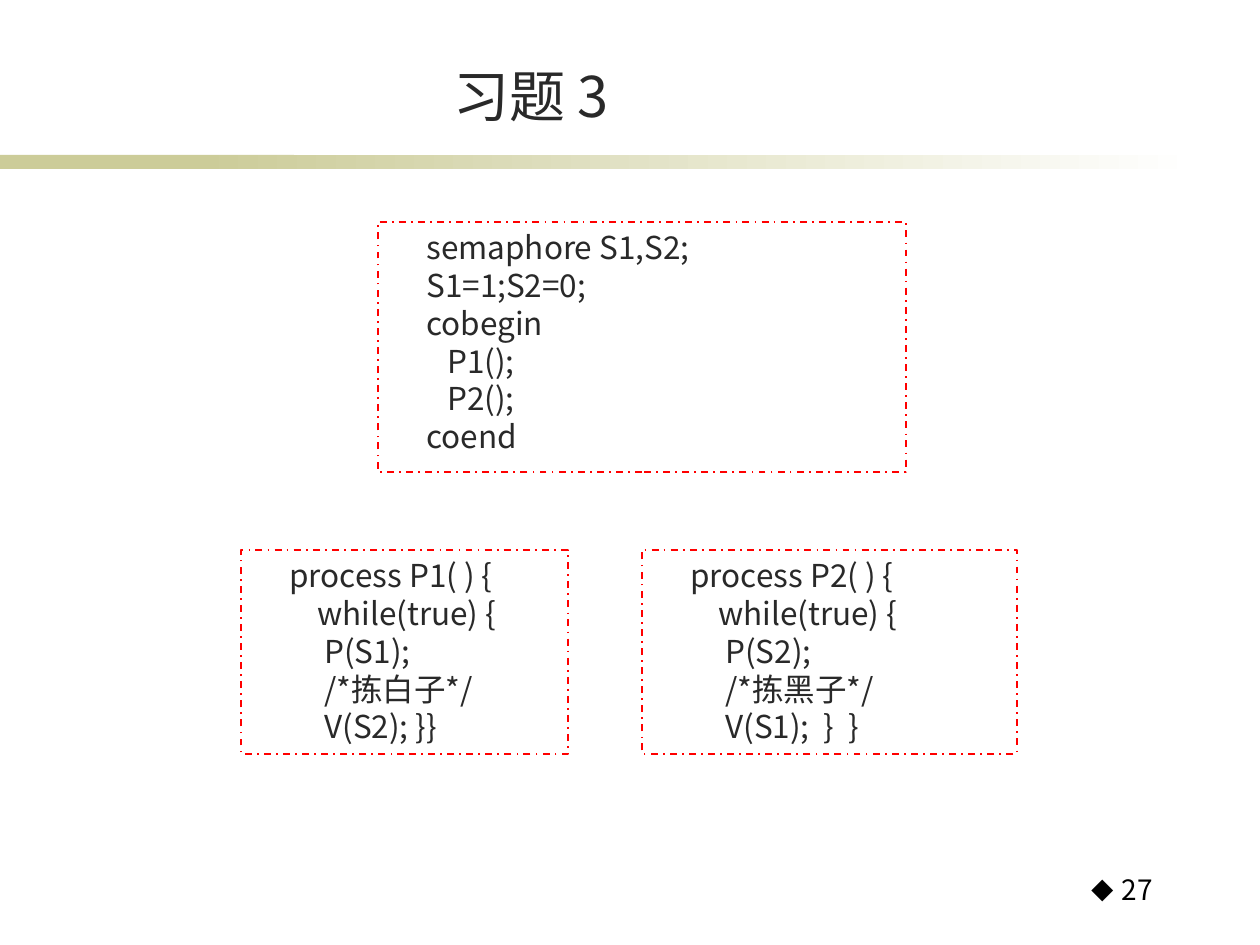
from dataclasses import dataclass

import pptx
import pptx.dml.color
import pptx.enum.dml
import pptx.enum.shapes
import pptx.enum.text
import pptx.oxml
import pptx.oxml.ns
import pptx.util

EMU_PER_PX = 914400 / 126
ALIGN = pptx.enum.text.PP_ALIGN
ANCHOR = pptx.enum.text.MSO_ANCHOR


@dataclass(frozen=True)
class Theme:
    font: str = "Noto Sans CJK SC"
    ink: str = "292929"
    black: str = "000000"
    white: str = "FFFFFF"
    khaki: str = "CCCC99"
    red: str = "FF0000"
    title_size: int = 32
    code_size: int = 18
    number_size: int = 16
    line_width: int = 1


THEME = Theme()
CODE_INDENT = 36  # px before every code line
SPACE = 7  # px, width of one column of code indentation


def px(n):
    return pptx.util.Emu(round(n * EMU_PER_PX))


def rgb(value):
    return pptx.dml.color.RGBColor.from_string(value)


def add_xml(parent, xml):
    """Append one DrawingML element written with the a: prefix."""
    head, tail = xml.split(" ", 1)
    ns = pptx.oxml.ns.nsdecls("a")
    parent.append(pptx.oxml.parse_xml(f"{head} {ns} {tail}"))


def add_run(p, text, size, color):
    r = p.add_run()
    r.text = text
    r.font.name = THEME.font
    r.font.size = pptx.util.Pt(size)
    r.font.color.rgb = rgb(color)
    add_xml(r.font._element, f'<a:ea typeface="{THEME.font}"/>')


def add_rect(s, box):
    sp = s.shapes.add_shape(pptx.enum.shapes.MSO_SHAPE.RECTANGLE, *map(px, box))
    sp.shadow.inherit = False
    return sp


def add_rule(s):
    """Band under the title: a solid start that fades to white."""
    solid = add_rect(s, (0, 155, 294, 14))
    solid.fill.solid()
    solid.fill.fore_color.rgb = rgb(THEME.khaki)
    solid.line.fill.background()

    fade = add_rect(s, (199, 155, 998, 14))
    fade.fill.gradient()
    fade.fill.gradient_angle = 0
    for stop, color in zip(fade.fill.gradient_stops, (THEME.khaki, THEME.white)):
        stop.color.rgb = rgb(color)
    fade.line.fill.background()


def add_title(s, text):
    sp = s.shapes.title
    sp.left, sp.top, sp.width, sp.height = map(px, (144, 56, 774, 79))
    tf = sp.text_frame
    tf.vertical_anchor = ANCHOR.BOTTOM
    p = tf.paragraphs[0]
    p.alignment = ALIGN.CENTER
    add_run(p, text, THEME.title_size, THEME.ink)


def add_code_box(s, box, lines):
    """Dash-dot frame; each line is (columns of indentation, text)."""
    sp = add_rect(s, box)
    sp.fill.background()
    sp.line.color.rgb = rgb(THEME.red)
    sp.line.width = pptx.util.Pt(THEME.line_width)
    sp.line.dash_style = pptx.enum.dml.MSO_LINE.DASH_DOT
    tf = sp.text_frame
    tf.word_wrap = True
    tf.vertical_anchor = ANCHOR.TOP
    for i, (columns, text) in enumerate(lines):
        p = tf.add_paragraph() if i else tf.paragraphs[0]
        p.alignment = ALIGN.JUSTIFY
        p._p.get_or_add_pPr().set("indent", str(px(CODE_INDENT + columns * SPACE)))
        add_run(p, text, THEME.code_size, THEME.ink)


def process_lines(name, wait, comment, end):
    return [
        (0, f"process {name}( ) {{"),
        (4, "while(true) {"),
        (5, f"P({wait});"),
        (5, f"/*{comment}*/"),
        (5, end),
    ]


def add_page_number(s, text):
    sp = s.shapes.add_textbox(*map(px, (1037, 870, 128, 63)))
    tf = sp.text_frame
    tf.word_wrap = True
    p = tf.paragraphs[0]
    p.alignment = ALIGN.RIGHT
    p.line_spacing = 0.9
    p.space_before = pptx.util.Pt(3)
    # Diamond bullet hanging in front of the number
    pPr = p._p.get_or_add_pPr()
    pPr.set("marL", str(px(30)))
    pPr.set("indent", str(px(-30)))
    add_xml(pPr, f'<a:buClr ><a:srgbClr val="{THEME.black}"/></a:buClr>')
    add_xml(pPr, '<a:buSzPct val="80000"/>')
    add_xml(pPr, f'<a:buFont typeface="{THEME.font}"/>')
    add_xml(pPr, '<a:buChar char="◆"/>')
    add_run(p, text, THEME.number_size, THEME.black)


def main():
    prs = pptx.Presentation()
    prs.slide_width, prs.slide_height = px(1260), px(945)
    s = prs.slides.add_slide(prs.slide_layouts[5])

    # Heading
    add_rule(s)
    add_title(s, "习题 3")

    # Main program
    add_code_box(s, (378, 222, 528, 250), [
        (0, "semaphore S1,S2;"),
        (0, "S1=1;S2=0;"),
        (0, "cobegin"),
        (3, "P1();"),
        (3, "P2();"),
        (0, "coend"),
    ])

    # The two processes side by side
    add_code_box(s, (241, 550, 327, 204),
                 process_lines("P1", "S1", "拣白子", "V(S2); }}"))
    add_code_box(s, (642, 550, 375, 204),
                 process_lines("P2", "S2", "拣黑子", "V(S1);  }  }"))

    # Footer
    add_page_number(s, "27")
    prs.save("out.pptx")


if __name__ == "__main__":
    main()
